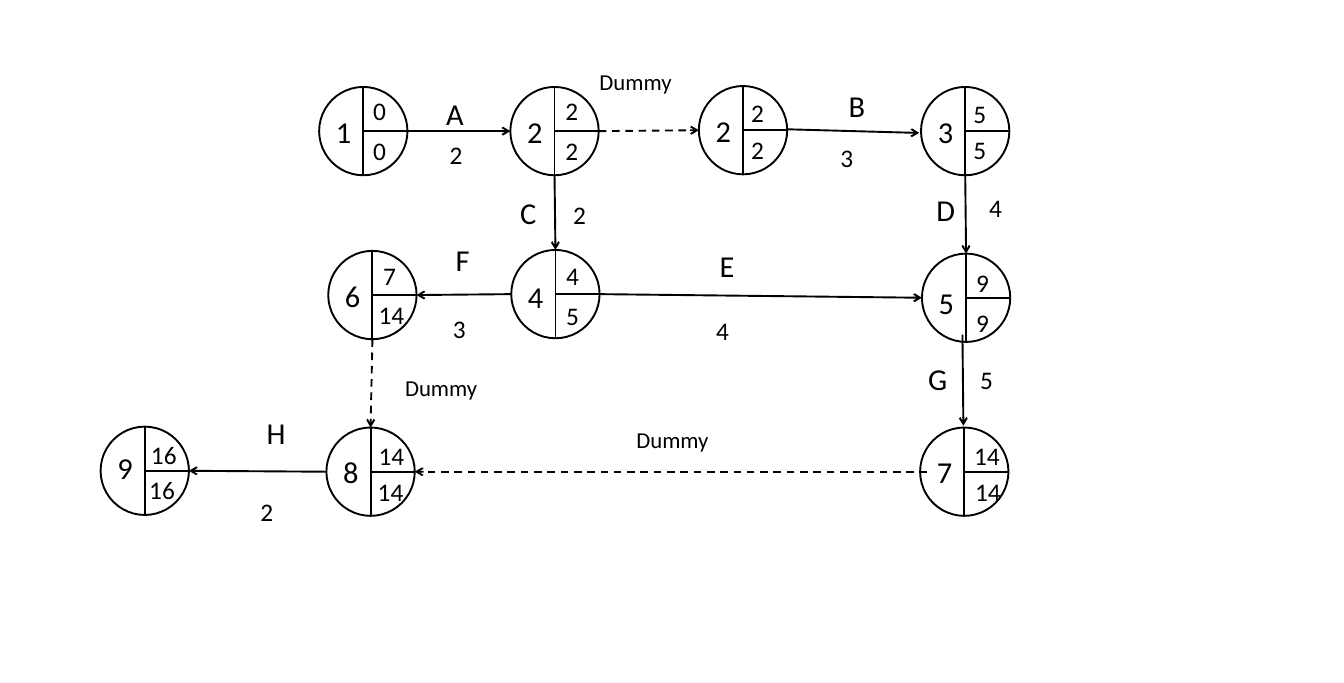
from lxml import etree
from pptx import Presentation
from pptx import util as u
from pptx.dml.color import RGBColor
from pptx.enum import dml, shapes
from pptx.oxml import ns

SLIDE_SIZE = (14.76, 7.5)
COLORS = {"ink": "000000"}
FONT = "Calibri"
DIAMETER = 0.97
RADIUS = DIAMETER / 2
LINE_WIDTH = 1.5
NUMBER_SIZE, TIME_SIZE, DUMMY_SIZE = 24, 20, 18
BOX_HEIGHTS = {NUMBER_SIZE: 0.5, TIME_SIZE: 0.44, DUMMY_SIZE: 0.4}
BOX_WIDTHS = {1: 0.31, 2: 0.62, 5: 1.45}  # by number of characters

COLUMNS = [1.59, 4.07, 6.09, 8.16, 10.6]
ROWS = [1.44, 3.24, 5.18]

# key: (column, row), nudge, number and its rise,
# then earliest and latest time, each with its offset from the centre
EVENTS = {
    "1": ((1, 0), (-0.08, 0), "1", 0.25, ("0", 0.01, -0.44), ("0", 0.01, 0)),
    "2": ((2, 0), (0, 0), "2", 0.25, ("2", 0.02, -0.44), ("2", 0.02, 0)),
    "2b": ((3, 0), (0, -0.01), "2", 0.25, ("2", -0.01, -0.41), ("2", -0.01, -0.01)),
    "3": ((4, 0), (0, 0), "3", 0.25, ("5", -0.01, -0.41), ("5", -0.01, -0.01)),
    "4": ((2, 1), (0.01, -0.01), "4", 0.23, ("4", 0.02, -0.42), ("5", 0.02, 0.02)),
    "5": ((4, 1), (0.01, 0.03), "5", 0.2, ("9", 0.01, -0.39), ("9", 0.01, 0.05)),
    "6": ((1, 1), (0.02, 0), "6", 0.25, ("7", 0.02, -0.43), ("14", -0.03, 0)),
    "7": ((4, 2), (-0.01, 0), "7", 0.25, ("14", 0.01, -0.39), ("14", 0.02, 0)),
    "8": ((1, 2), (0, 0), "8", 0.25, ("14", -0.01, -0.4), ("14", -0.02, 0)),
    "9": ((0, 2), (0, -0.01), "9", 0.29, ("16", -0.03, -0.4), ("16", -0.05, -0.01)),
}

# start event, end event, labels with offsets from the middle of the arrow
ACTIVITIES = [
    ("1", "2", [("A", -0.24, -0.44), ("2", -0.2, 0.04)]),
    ("2", "2b", [("Dummy", -0.64, -0.74)]),
    ("2b", "3", [("B", -0.15, -0.53), ("3", -0.24, 0.07)]),
    ("2", "4", [("C", -0.48, -0.25), ("2", 0.1, -0.2)]),
    ("3", "5", [("D", -0.42, -0.31), ("4", 0.16, -0.29)]),
    ("4", "5", [("E", -0.55, -0.58), ("4", -0.59, 0.16)]),
    ("4", "6", [("F", -0.19, -0.64), ("3", -0.22, 0.15)]),
    ("5", "7", [("G", -0.48, -0.27), ("5", 0.09, -0.23)]),
    ("6", "8", [("Dummy", 0.27, -0.15)]),
    ("7", "8", [("Dummy", -0.48, -0.55)]),
    ("8", "9", [("H", 0, -0.68), ("2", -0.07, 0.22)]),
]
# arrow ends that do not sit exactly on the circle: start shift, end shift
END_SHIFTS = {
    ("2b", "3"): ((0, -0.01), (-0.02, 0.02)),
    ("5", "7"): ((-0.04, -0.08), (-0.01, -0.02)),
    ("7", "8"): ((0.08, 0), (0, 0)),
}


def ink():
    return RGBColor.from_string(COLORS["ink"])


def style_line(line):
    line.color.rgb = ink()
    line.width = u.Pt(LINE_WIDTH)


def add_text(parent, words, left, top, size):
    box = parent.add_textbox(u.Inches(left), u.Inches(top),
                             u.Inches(BOX_WIDTHS[len(words)]),
                             u.Inches(BOX_HEIGHTS[size]))
    box.text_frame.word_wrap = True
    paragraph = box.text_frame.paragraphs[0]
    paragraph.text = words
    paragraph.font.name = FONT
    paragraph.font.size = u.Pt(size)
    paragraph.font.color.rgb = ink()


def add_line(parent, start, end):
    connector = parent.add_connector(
        shapes.MSO_CONNECTOR.STRAIGHT,
        *(u.Inches(length) for length in (*start, *end)))
    style_line(connector.line)
    etree.SubElement(connector._element.spPr, ns.qn("a:effectLst"))
    return connector


def centre(key):
    (column, row), (dx, dy) = EVENTS[key][:2]
    return COLUMNS[column] + dx, ROWS[row] + dy


def add_event(slide, key):
    x, y = centre(key)
    number, rise, *times = EVENTS[key][2:]
    parent = slide.shapes.add_group_shape().shapes
    circle = parent.add_shape(
        shapes.MSO_SHAPE.OVAL, u.Inches(x - RADIUS), u.Inches(y - RADIUS),
        u.Inches(DIAMETER), u.Inches(DIAMETER))
    circle.shadow.inherit = False
    circle.fill.background()
    style_line(circle.line)
    add_line(parent, (x, y - RADIUS), (x, y + RADIUS))
    add_line(parent, (x + RADIUS, y), (x, y))
    add_text(parent, number, x - 0.4, y - rise, NUMBER_SIZE)
    for time, dx, dy in times:
        add_text(parent, time, x + dx, y + dy, TIME_SIZE)


def arrow_ends(start, end):
    """Points where the arrow leaves one circle and meets the next."""
    (x1, y1), (x2, y2) = centre(start), centre(end)
    if abs(x2 - x1) > abs(y2 - y1):
        reach = (RADIUS if x2 > x1 else -RADIUS, 0)
    else:
        reach = (0, RADIUS if y2 > y1 else -RADIUS)
    shift1, shift2 = END_SHIFTS.get((start, end), ((0, 0), (0, 0)))
    return ((x1 + reach[0] + shift1[0], y1 + reach[1] + shift1[1]),
            (x2 - reach[0] + shift2[0], y2 - reach[1] + shift2[1]))


def add_activity(slide, start, end, labels):
    tail, head = arrow_ends(start, end)
    arrow = add_line(slide.shapes, tail, head)
    if labels[0][0] == "Dummy":
        arrow.line.dash_style = dml.MSO_LINE.DASH
    etree.SubElement(arrow.line._get_or_add_ln(), ns.qn("a:tailEnd"), type="arrow")
    middle_x, middle_y = (tail[0] + head[0]) / 2, (tail[1] + head[1]) / 2
    for words, dx, dy in labels:
        if words == "Dummy":
            size = DUMMY_SIZE
        else:
            size = TIME_SIZE if words.isdigit() else NUMBER_SIZE
        add_text(slide.shapes, words, middle_x + dx, middle_y + dy, size)


def main():
    presentation = Presentation()
    presentation.slide_width, presentation.slide_height = map(u.Inches, SLIDE_SIZE)
    slide = presentation.slides.add_slide(presentation.slide_layouts[6])
    for key in EVENTS:
        add_event(slide, key)
    for activity in ACTIVITIES:
        add_activity(slide, *activity)
    presentation.save("out.pptx")


if __name__ == "__main__":
    main()
